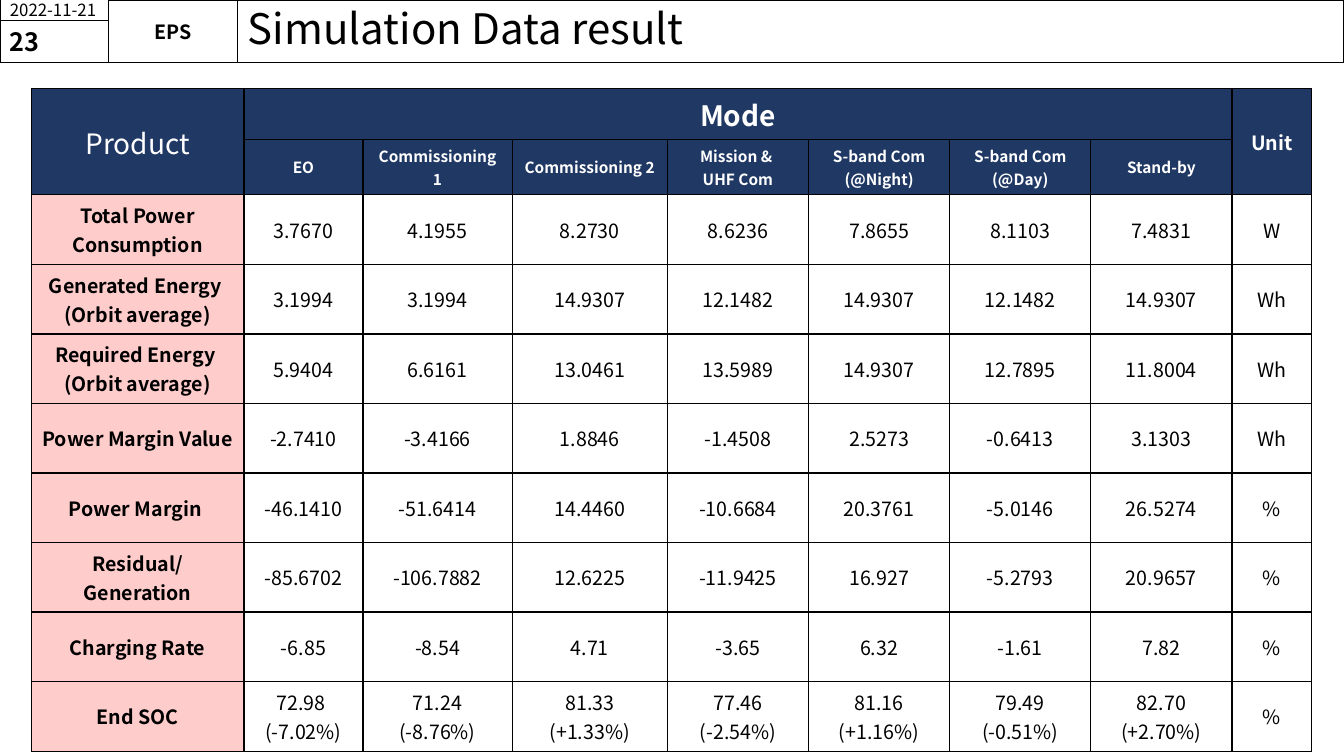
from pptx import Presentation
from pptx.dml.color import RGBColor
from pptx.enum.shapes import MSO_SHAPE
from pptx.enum.text import MSO_ANCHOR, PP_ALIGN
from pptx.oxml import parse_xml
from pptx.oxml.ns import nsdecls
from pptx.util import Inches, Pt

FONT = "Noto Sans CJK KR"
BLACK = RGBColor(0x00, 0x00, 0x00)
WHITE = RGBColor(0xFF, 0xFF, 0xFF)
NAVY = RGBColor(0x20, 0x38, 0x64)
PINK = RGBColor(0xFF, 0xCC, 0xCC)


def write(frame, text, size, bold=False, color=BLACK, align=PP_ALIGN.CENTER):
    """Put each line of text in its own paragraph."""
    for number, line in enumerate(text.split("\n")):
        paragraph = frame.add_paragraph() if number else frame.paragraphs[0]
        paragraph.alignment = align
        run = paragraph.add_run()
        run.text = line
        run.font.name = FONT
        run.font.size = Pt(size)
        run.font.bold = bold
        run.font.color.rgb = color


def fill_cell(cell, text, size, bold=False, color=BLACK, fill=None):
    cell.vertical_anchor = MSO_ANCHOR.MIDDLE
    write(cell.text_frame, text, size, bold, color)
    properties = cell._tc.get_or_add_tcPr()
    for side in ("lnL", "lnR", "lnT", "lnB"):
        properties.append(parse_xml(
            f'<a:{side} {nsdecls("a")} w="12700"><a:solidFill>'
            f'<a:srgbClr val="{BLACK}"/></a:solidFill></a:{side}>'))
    if fill is None:
        cell.fill.background()
    else:
        cell.fill.solid()
        cell.fill.fore_color.rgb = fill


deck = Presentation()
deck.slide_width = Inches(13.33)
deck.slide_height = Inches(7.5)
slide = deck.slides.add_slide(deck.slide_layouts[6])

# Heading strip: title, date, subsystem, page number
strip = [
    ("Simulation Data result", 2.36, 0, 10.97, 0.62, 30, False, PP_ALIGN.LEFT),
    ("2022-11-21", 0, 0, 1.08, 0.2, 12, False, PP_ALIGN.LEFT),
    ("EPS", 1.08, 0, 1.28, 0.62, 14, True, PP_ALIGN.CENTER),
    ("23", 0, 0.2, 1.08, 0.42, 18, True, PP_ALIGN.LEFT),
]
for text, left, top, width, height, size, bold, align in strip:
    box = slide.shapes.add_shape(MSO_SHAPE.RECTANGLE, Inches(left), Inches(top),
                                 Inches(width), Inches(height))
    box.shadow.inherit = False
    box.fill.background()
    box.line.color.rgb = BLACK
    box.line.width = Pt(0.75)
    frame = box.text_frame
    frame.word_wrap = True
    frame.vertical_anchor = MSO_ANCHOR.MIDDLE
    write(frame, text, size, bold, align=align)
    if align == PP_ALIGN.CENTER:
        frame.margin_left = frame.margin_right = 0
        frame.margin_top = frame.margin_bottom = 0
    if size == 30:
        frame.paragraphs[0].line_spacing = 0.9

# Result table data
modes = ["EO", "Commissioning 1", "Commissioning 2", "Mission & \nUHF Com",
         "S-band Com (@Night)", "S-band Com (@Day)", "Stand-by"]
results = [
    ("Total Power Consumption", "3.7670", "4.1955", "8.2730", "8.6236",
     "7.8655", "8.1103", "7.4831", "W"),
    ("Generated Energy \n(Orbit average)", "3.1994", "3.1994", "14.9307", "12.1482",
     "14.9307", "12.1482", "14.9307", "Wh"),
    ("Required Energy \n(Orbit average)", "5.9404", "6.6161", "13.0461", "13.5989",
     "14.9307", "12.7895", "11.8004", "Wh"),
    ("Power Margin Value", "-2.7410", "-3.4166", "1.8846", "-1.4508",
     "2.5273", "-0.6413", "3.1303", "Wh"),
    ("Power Margin ", "-46.1410", "-51.6414", "14.4460", "-10.6684",
     "20.3761", "-5.0146", "26.5274", "%"),
    ("Residual/Generation", "-85.6702", "-106.7882", "12.6225", "-11.9425",
     "16.927", "-5.2793", "20.9657", "%"),
    ("Charging Rate", "-6.85", "-8.54", "4.71", "-3.65", "6.32", "-1.61", "7.82", "%"),
    ("End SOC", "72.98 \n(-7.02%)", "71.24\n(-8.76%)", "81.33\n(+1.33%)",
     "77.46\n(-2.54%)", "81.16\n(+1.16%)", "79.49\n(-0.51%)", "82.70\n(+2.70%)", "%"),
]
column_widths = [2.11, 1.18, 1.48, 1.54, 1.4, 1.4, 1.4, 1.4, 0.79]
row_heights = [0.49, 0.55] + [0.69] * len(results)

# Table grid
table = slide.shapes.add_table(
    len(row_heights), len(column_widths), Inches(0.31), Inches(0.88),
    Inches(sum(column_widths)), Inches(sum(row_heights))).table
table.horz_banding = False
table.first_row = False
for column, width in zip(table.columns, column_widths):
    column.width = Inches(width)
for row, height in zip(table.rows, row_heights):
    row.height = Inches(height)

# Table header
last = len(column_widths) - 1
header = {(0, 0): ("Product", 20, False), (0, 1): ("Mode", 20, True),
          (0, last): ("Unit", 14, True)}
for index, mode in enumerate(modes, 1):
    header[1, index] = (mode, 11, True)
for row in range(2):
    for column in range(last + 1):
        text, size, bold = header.get((row, column), ("", 11, False))
        fill_cell(table.cell(row, column), text, size, bold, WHITE, NAVY)
table.cell(0, 0).merge(table.cell(1, 0))
table.cell(0, 1).merge(table.cell(0, last - 1))
table.cell(0, last).merge(table.cell(1, last))

# Table body
for row, values in enumerate(results, 2):
    for column, text in enumerate(values):
        is_label = column == 0
        fill_cell(table.cell(row, column), text, 14, is_label,
                  fill=PINK if is_label else None)

deck.save("out.pptx")
